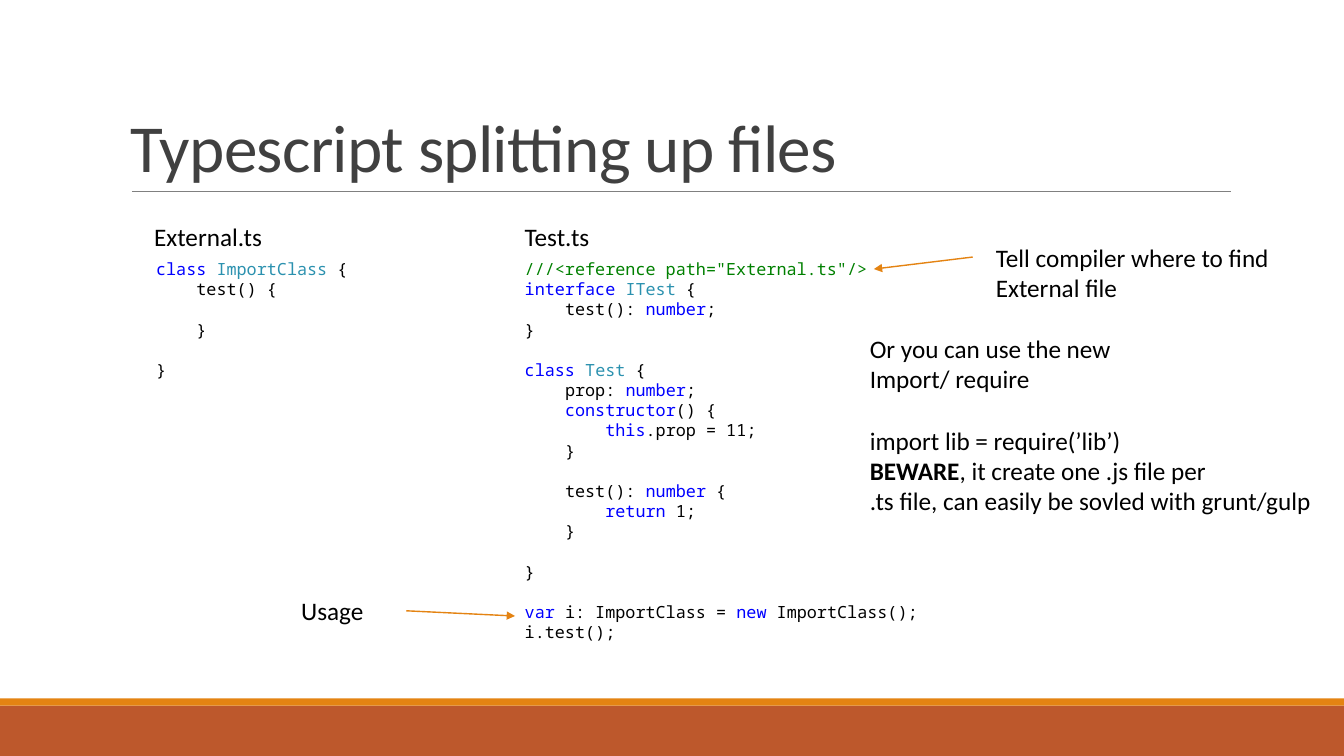
from lxml import etree
from pptx import Presentation
from pptx.dml.color import RGBColor
from pptx.enum.shapes import MSO_CONNECTOR, MSO_SHAPE
from pptx.enum.text import MSO_ANCHOR
from pptx.oxml.ns import qn
from pptx.util import Pt

ORANGE, RUST = "E48312", "BD582C"
BLACK, GREEN, BLUE, TEAL = "000000", "008000", "0000FF", "2B91AF"
CODE_SIZE, CODE_PITCH, CODE_CHAR = 12, 14.4, 7.2
NOTE_PITCH = 22

KEYWORDS = ("class", "interface", "number", "constructor", "this", "return", "var", "new")
TYPES = ("ImportClass", "ITest", "Test")
REFERENCE = '///<reference path="External.ts"/>'
CODE_COLOURS = {REFERENCE: GREEN} | dict.fromkeys(KEYWORDS, BLUE) | dict.fromkeys(TYPES, TEAL)

# A bar separates differently coloured pieces of a code line.
EXTERNAL_CODE = """\
class| |ImportClass| {
    test() {

    }

}"""

TEST_CODE = REFERENCE + """
interface| |ITest| {
    test(): |number|;
}

class| |Test| {
    prop: |number|;
    constructor|() {
        this|.prop = 11;
    }

    test(): |number| {
        return| 1;
    }

}

var| i: ImportClass = |new| ImportClass();
i.test();"""


def colour(hex_code):
    return RGBColor.from_string(hex_code)


def add_band(slide, top, height, fill):
    band = slide.shapes.add_shape(MSO_SHAPE.RECTANGLE, 0, Pt(top), Pt(960), Pt(height))
    band.shadow.inherit = False
    band.fill.solid()
    band.fill.fore_color.rgb = colour(fill)
    band.line.fill.background()


def add_line(slide, start, end, stroke, width, arrow=False):
    line = slide.shapes.add_connector(
        MSO_CONNECTOR.STRAIGHT, *(Pt(value) for value in start + end))
    line.line.color.rgb = colour(stroke)
    line.line.width = Pt(width)
    if arrow:
        etree.SubElement(line.line._get_or_add_ln(), qn("a:tailEnd"), type="triangle")
    etree.SubElement(line._element.spPr, qn("a:effectLst"))


def add_frame(slide, left, top, width, height, wrap=True, anchor=MSO_ANCHOR.TOP):
    frame = slide.shapes.add_textbox(Pt(left), Pt(top), Pt(width), Pt(height)).text_frame
    frame.word_wrap = wrap
    frame.vertical_anchor = anchor
    return frame


def add_run(paragraph, text, size=18, font="Calibri", ink=BLACK, bold=False, spacing=0):
    run = paragraph.add_run()
    run.text = text
    run.font.size = Pt(size)
    run.font.name = font
    run.font.bold = bold
    run.font.color.rgb = colour(ink)
    if spacing:
        run.font._element.set("spc", str(round(spacing * 100)))


def add_paragraphs(frame, text, pitch):
    """Yield each line with its paragraph, turning empty lines into space before."""
    gap, paragraph = 0, None
    for line in text.splitlines():
        if not line:
            gap += pitch
            continue
        paragraph = frame.add_paragraph() if paragraph else frame.paragraphs[0]
        paragraph.space_before = Pt(gap)
        gap = 0
        yield paragraph, line


def add_code(slide, code, left, top, width, height):
    frame = add_frame(slide, left, top, width, height)
    for paragraph, line in add_paragraphs(frame, code, CODE_PITCH):
        content = line.lstrip()
        indent = Pt((len(line) - len(content)) * CODE_CHAR)
        properties = paragraph._p.get_or_add_pPr()
        properties.set("marL", str(int(indent)))
        properties.set("indent", "0")
        paragraph.line_spacing = Pt(CODE_PITCH)
        for piece in content.split("|"):
            add_run(paragraph, piece, size=CODE_SIZE, font="Noto Sans Mono",
                    ink=CODE_COLOURS.get(piece, BLACK))


def add_note(slide, text, left, top, width, height):
    """Add plain text; pieces between asterisks are bold."""
    frame = add_frame(slide, left, top, width, height, wrap=False)
    for paragraph, line in add_paragraphs(frame, text, NOTE_PITCH):
        for index, piece in enumerate(line.split("*")):
            if piece:
                add_run(paragraph, piece, bold=index % 2 == 1)


def add_title(slide, text):
    frame = add_frame(slide, 86.4, 22.4, 792, 114.2, anchor=MSO_ANCHOR.BOTTOM)
    paragraph = frame.paragraphs[0]
    paragraph.line_spacing = 0.85
    add_run(paragraph, text, size=48, ink="404040", spacing=-0.5)


def main():
    deck = Presentation()
    deck.slide_width, deck.slide_height = Pt(960), Pt(540)
    slide = deck.slides.add_slide(deck.slide_layouts[6])

    add_band(slide, 504, 36, RUST)
    add_band(slide, 498.8, 5.2, ORANGE)
    add_line(slide, (94.3, 136.8), (879, 136.8), "808080", 0.5)
    add_title(slide, "Typescript splitting up files")

    add_note(slide, "External.ts", 103, 154.6, 92, 29)
    add_code(slide, EXTERNAL_CODE, 104.4, 181.4, 170.6, 94.3)
    add_note(slide, "Test.ts", 367.7, 154.6, 61, 29)
    add_code(slide, TEST_CODE, 367.7, 181.4, 480, 283.7)

    add_note(slide, "Tell compiler where to find\nExternal file", 704.2, 169.2, 212.4, 51)
    add_line(slide, (694.8, 183.6), (624.2, 192.2), ORANGE, 1, arrow=True)
    add_note(slide, "Usage", 208, 422, 60, 29)
    add_line(slide, (290.2, 436.3), (367.9, 440), ORANGE, 1, arrow=True)
    add_note(slide, "Or you can use the new\nImport/ require\n\n"
             "import lib = require(’lib’)\n"
             "*BEWARE*, it create one .js file per\n"
             ".ts file, can easily be sovled with grunt/gulp",
             614.2, 234.7, 333.4, 138.2)

    deck.save("out.pptx")


if __name__ == "__main__":
    main()
